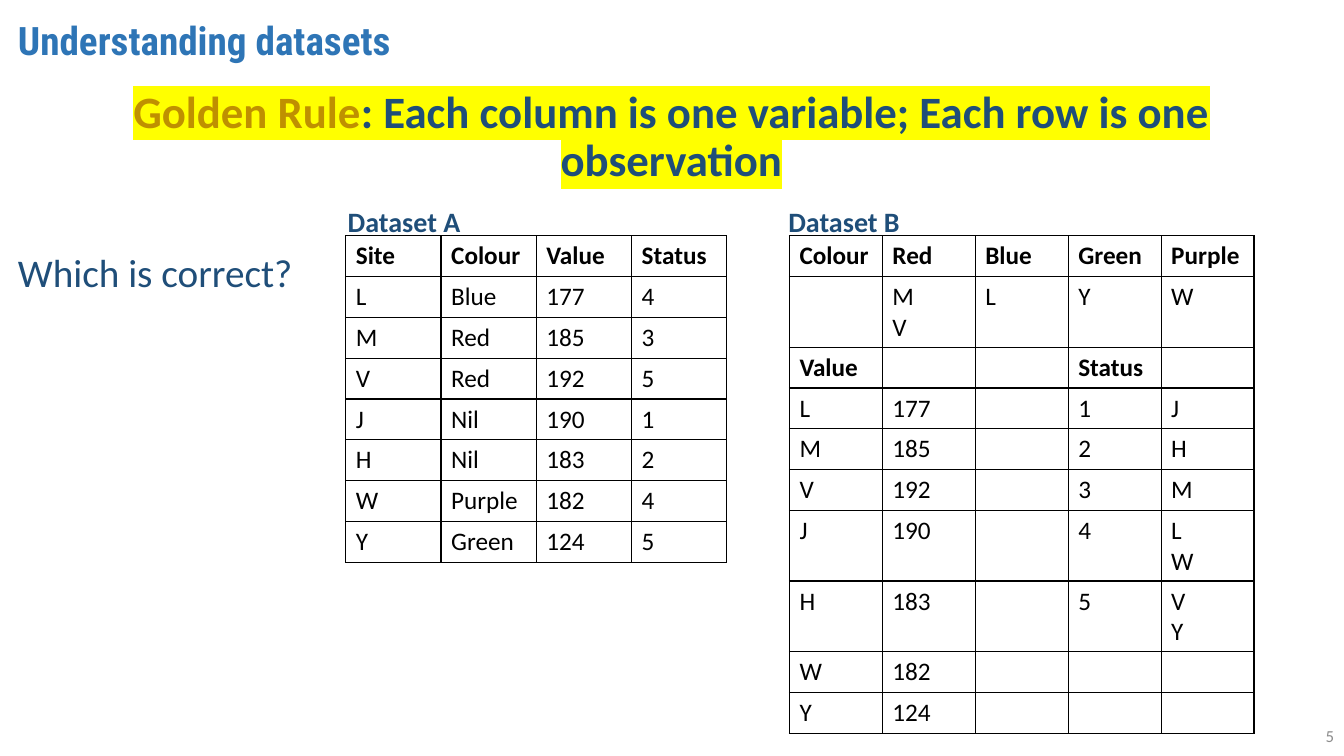
from lxml import etree
from pptx import Presentation
from pptx.dml.color import RGBColor
from pptx.enum import text
from pptx.oxml import ns
from pptx.util import Inches, Pt

COLORS = {
    "title": "2E75B6",
    "navy": "1F4E79",
    "gold": "BF9000",
    "highlight": "FFFF00",
    "grey": "8C8C8C",
    "black": "000000",
}
BODY_FONT = "Calibri"
ROW_HEIGHT = Inches(3.24) // 8
TWO_LINE_HEIGHT = Inches(0.7)

DATASET_A = [
    ["Site", "Colour", "Value", "Status"],
    ["L", "Blue", "177", "4"],
    ["M", "Red", "185", "3"],
    ["V", "Red", "192", "5"],
    ["J", "Nil", "190", "1"],
    ["H", "Nil", "183", "2"],
    ["W", "Purple", "182", "4"],
    ["Y", "Green", "124", "5"],
]
DATASET_B = [
    ["Colour", "Red", "Blue", "Green", "Purple"],
    ["", "M\nV", "L", "Y", "W"],
    ["Value", "", "", "Status", ""],
    ["L", "177", "", "1", "J"],
    ["M", "185", "", "2", "H"],
    ["V", "192", "", "3", "M"],
    ["J", "190", "", "4", "L\nW"],
    ["H", "183", "", "5", "V\nY"],
    ["W", "182", "", "", ""],
    ["Y", "124", "", "", ""],
]


def style_run(r, size, color, bold=False, font=BODY_FONT):
    r.font.size = Pt(size)
    r.font.bold = bold
    r.font.name = font
    r.font.color.rgb = RGBColor.from_string(COLORS[color])


def highlight_run(r, color):
    mark = etree.Element(ns.qn("a:highlight"))
    etree.SubElement(mark, ns.qn("a:srgbClr"), val=COLORS[color])
    r.font.fill  # highlight follows the text fill in the run properties
    r._r.rPr.find(ns.qn("a:solidFill")).addnext(mark)


def add_text(slide, box, words, size, color, bold=False, font=BODY_FONT,
             align=text.PP_ALIGN.LEFT, anchor=text.MSO_ANCHOR.TOP, spacing=0.9):
    tf = slide.shapes.add_textbox(*map(Inches, box)).text_frame
    tf.word_wrap = True
    tf.vertical_anchor = anchor
    p = tf.paragraphs[0]
    p.text = words
    p.alignment = align
    p.line_spacing = spacing
    style_run(p.runs[0], size, color, bold, font)
    return tf


def add_body(slide):
    tf = add_text(slide, (0.08, 0.84, 13.16, 6.64), "Golden Rule", 32, "gold",
                  bold=True, align=text.PP_ALIGN.CENTER)
    rule = tf.paragraphs[0]
    r = rule.add_run()
    r.text = ": Each column is one variable; Each row is one observation"
    style_run(r, 32, "navy", bold=True)
    for r in rule.runs:
        highlight_run(r, "highlight")

    question = tf.add_paragraph()
    question.text = "Which is correct?"
    question.line_spacing = 0.9
    question.space_before = Pt(48)
    style_run(question.runs[0], 28, "navy")


def add_borders(cell):
    tc_pr = cell._tc.get_or_add_tcPr()
    for i, side in enumerate(("lnL", "lnR", "lnT", "lnB")):
        ln = etree.Element(ns.qn(f"a:{side}"), w=str(Pt(1)))
        fill = etree.SubElement(ln, ns.qn("a:solidFill"))
        etree.SubElement(fill, ns.qn("a:srgbClr"), val=COLORS["black"])
        tc_pr.insert(i, ln)


def add_dataset(slide, left, width, rows, header_rows):
    table = slide.shapes.add_table(
        len(rows), len(rows[0]), Inches(left), Inches(2.34),
        Inches(width), ROW_HEIGHT * len(rows)).table
    table.first_row = table.horz_banding = False
    for i, row in enumerate(rows):
        if any("\n" in value for value in row):
            table.rows[i].height = TWO_LINE_HEIGHT
        for j, value in enumerate(row):
            cell = table.cell(i, j)
            cell.fill.background()
            add_borders(cell)
            cell.text_frame.text = value
            for p in cell.text_frame.paragraphs:
                for r in p.runs:
                    style_run(r, 18, "black", bold=i in header_rows)


def main():
    prs = Presentation()
    prs.slide_width, prs.slide_height = Inches(13.33), Inches(7.5)
    slide = prs.slides.add_slide(prs.slide_layouts[6])

    # Title, golden rule and question
    add_text(slide, (0.08, 0.12, 13.16, 0.6), "Understanding datasets", 28, "title",
             bold=True, font="Roboto Condensed", anchor=text.MSO_ANCHOR.MIDDLE)
    add_body(slide)

    # Slide number
    add_text(slide, (10.33, 7.1, 3, 0.4), "5", 12, "grey", spacing=1.0,
             align=text.PP_ALIGN.RIGHT, anchor=text.MSO_ANCHOR.MIDDLE)

    # The two datasets and their labels
    add_dataset(slide, 3.43, 3.78, DATASET_A, header_rows={0})
    add_dataset(slide, 7.83, 4.61, DATASET_B, header_rows={0, 2})
    for left, label in ((3.35, "Dataset A"), (7.72, "Dataset B")):
        add_text(slide, (left, 2.02, 3.3, 0.56), label, 20, "navy", bold=True)

    prs.save("out.pptx")


if __name__ == "__main__":
    main()
